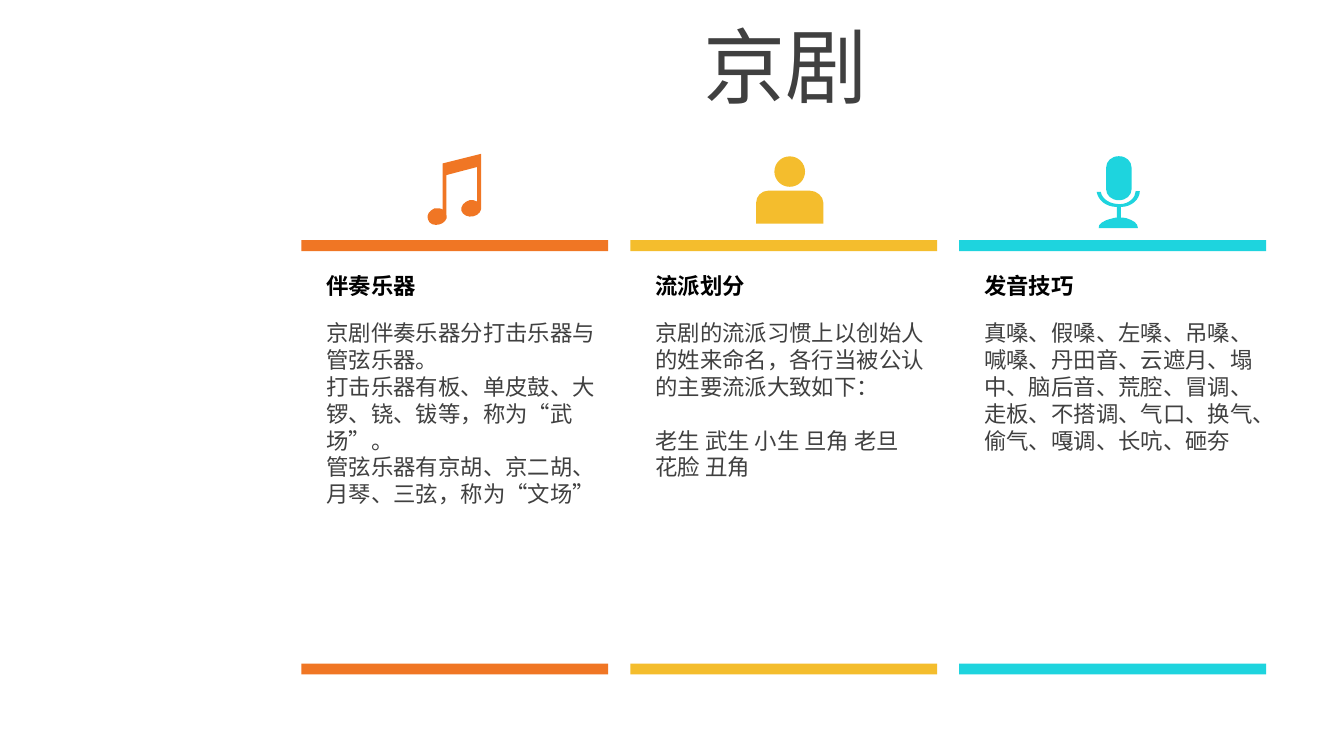
from lxml.etree import Element, SubElement
from pptx import Presentation
from pptx.dml.color import RGBColor as RGB
from pptx.enum.text import MSO_ANCHOR as Anchor, PP_ALIGN as Align
from pptx.enum.shapes import MSO_SHAPE as Shape
from pptx.oxml.ns import qn
from pptx.util import Pt

FONT = "Arial"
HEX = {"orange": "F07624", "gold": "F4BD2D", "cyan": "1ED4DE",
       "grey": "404040", "black": "000000"}

# Icon outlines: x from the column's left edge, y from the slide's top.
# A pair is a corner; six numbers are a curve (two handles, then its end).
NOTES = [[
    (96.3, 82.4), (96.3, 110.9),
    (96.5, 113, 95, 115.2, 92.1, 115.9),
    (89.3, 116.6, 86.4, 115.2, 85.7, 113),
    (84.9, 110.9, 87.1, 108, 90, 107.3),
    (91.4, 107, 92.9, 107.3, 94.1, 108),
    (94.1, 89.5), (77.7, 93.8), (77.7, 115.2),
    (78.5, 117.4, 76.3, 119.5, 74.1, 120.2),
    (71.3, 121, 68.4, 120.2, 67.7, 117.4),
    (66.9, 115.2, 68.4, 113, 71.3, 111.6),
    (72.7, 111.4, 74.9, 111.6, 75.6, 112.3),
    (75.6, 87.6),
]]
PERSON = [
    [(73.9, 102.2), (96.2, 102.2),
     (99.8, 102.2, 103.4, 105.1, 103.4, 108.7),
     (103.4, 119.8), (67.4, 119.8), (67.4, 108.7),
     (67.4, 105.1, 70.3, 102.2, 73.9, 102.2)],
    [(85.4, 83.8),
     (90, 83.8, 93.6, 87.4, 93.6, 92),
     (93.6, 96.5, 90, 100.1, 85.4, 100.1),
     (80.9, 100.1, 77.2, 96.5, 77.2, 92),
     (77.2, 87.4, 80.9, 83.8, 85.4, 83.8)],
]
MIC = [
    [(96.7, 102.4),
     (96.7, 106.8, 92.3, 110.9, 86.6, 110.9),
     (86.6, 116.6),
     (87.3, 116.6, 88, 116.6, 89.5, 116.9),
     (93.1, 118.1, 95.7, 119.5, 95.7, 122.2),
     (74.7, 122.2),
     (74.3, 120.2, 77.2, 118.1, 81.5, 117.2),
     (82.3, 116.8, 83.7, 116.6, 84.4, 116.6),
     (84.4, 110.9),
     (78.7, 110.9, 74.3, 107.3, 73.6, 102.8),
     (75.8, 102.8),
     (76.5, 106.8, 80.8, 109.4, 85.9, 109.4),
     (90.9, 109.4, 94.5, 105.8, 94.5, 102.4)],
    [(85.5, 83.7),
     (89.5, 83.7, 92.3, 86.4, 92.3, 89.8),
     (92.3, 101.5),
     (92.3, 104.6, 89.5, 107.3, 85.5, 107.3),
     (81.5, 107.3, 78.7, 104.6, 78.7, 101.5),
     (78.7, 89.8),
     (78.7, 86.4, 81.5, 83.7, 85.5, 83.7)],
]

TITLE = "京剧"
# heading, colour, icon, gap before each later paragraph, paragraphs
COLUMNS = [
    ("伴奏乐器", "orange", NOTES, 0, [
        "京剧伴奏乐器分打击乐器与管弦乐器。",
        "打击乐器有板、单皮鼓、大锣、铙、钹等，称为“武场”。",
        "管弦乐器有京胡、京二胡、月琴、三弦，称为“文场”"]),
    ("流派划分", "gold", PERSON, 14.4, [
        "京剧的流派习惯上以创始人的姓来命名，各行当被公认的主要流派大致如下：",
        "老生 武生 小生 旦角 老旦 花脸 丑角"]),
    ("发音技巧", "cyan", MIC, 0, [
        "真嗓、假嗓、左嗓、吊嗓、喊嗓、丹田音、云遮月、塌中、脑后音、荒腔、"
        "冒调、走板、不搭调、气口、换气、偷气、嘎调、长吭、砸夯"]),
]
LEFT, PITCH, WIDE = 161.5, 176.2, 164.4
BAR_TOPS, BAR_HIGH = (128.7, 355.5), 5.8
INDENT, TEXT_WIDE = 6.3, 158.4
HEAD_TOP, HEAD_HIGH = 142.2, 21.6
BODY_TOP, BODY_HIGH = 167.4, 108.7


def style(para, size, color, bold=False):
    font = para.font
    font.size, font.bold, font.name = Pt(size), bold, FONT
    font.color.rgb = RGB.from_string(HEX[color])


def paint(shape, color):
    shape.fill.solid()
    shape.fill.fore_color.rgb = RGB.from_string(HEX[color])
    shape.line.fill.background()
    shape.shadow.inherit = False


def bend(shape, paths, left):
    """Swap the straight sides that stand for curves with real curves."""
    sides = list(shape._element.iter(qn("a:lnTo")))
    segs = [seg for path in paths for seg in path[1:]]
    for side, seg in zip(sides, segs):
        if len(seg) == 2:
            continue
        curve = Element(qn("a:cubicBezTo"))
        for x, y in zip(seg[::2], seg[1::2]):
            SubElement(curve, qn("a:pt"), x=str(Pt(left + x) - shape.left),
                       y=str(Pt(y) - shape.top))
        side.getparent().replace(side, curve)


def add_icon(shapes, paths, left, color):
    pen = None
    for path in paths:
        pts = [(Pt(left + seg[-2]), Pt(seg[-1])) for seg in path]
        if pen is None:
            pen = shapes.build_freeform(*pts[0])
        else:
            pen.move_to(*pts[0])
        pen.add_line_segments(pts[1:], close=True)
    icon = pen.convert_to_shape()
    bend(icon, paths, left)
    paint(icon, color)


def add_text(shapes, box, lines, color, bold=False, gap=0):
    frame = shapes.add_textbox(*map(Pt, box)).text_frame
    frame.word_wrap = True
    frame.text = "\n".join(lines)
    for i, para in enumerate(frame.paragraphs):
        style(para, 12, color, bold)
        if i and gap:
            para.space_before = Pt(gap)


def main():
    deck = Presentation()
    deck.slide_width, deck.slide_height = Pt(720), Pt(405)
    slide = deck.slides.add_slide(deck.slide_layouts[5])
    shapes = slide.shapes

    title = shapes.title
    title.left, title.top, title.width, title.height = map(
        Pt, (121.7, 0, 598.3, 69.8))
    title.text_frame.text = TITLE
    title.text_frame.vertical_anchor = Anchor.MIDDLE
    para = title.text_frame.paragraphs[0]
    para.alignment = Align.CENTER
    style(para, 44, "grey")

    for i, (head, color, icon, gap, body) in enumerate(COLUMNS):
        left = LEFT + i * PITCH
        for top in BAR_TOPS:
            bar = shapes.add_shape(
                Shape.RECTANGLE, *map(Pt, (left, top, WIDE, BAR_HIGH)))
            paint(bar, color)
        x = left + INDENT
        add_text(shapes, (x, BODY_TOP, TEXT_WIDE, BODY_HIGH), body, "grey",
                 gap=gap)
        add_text(shapes, (x, HEAD_TOP, TEXT_WIDE, HEAD_HIGH), [head], "black",
                 bold=True)
        add_icon(shapes, icon, left, color)

    deck.save("out.pptx")


if __name__ == "__main__":
    main()
